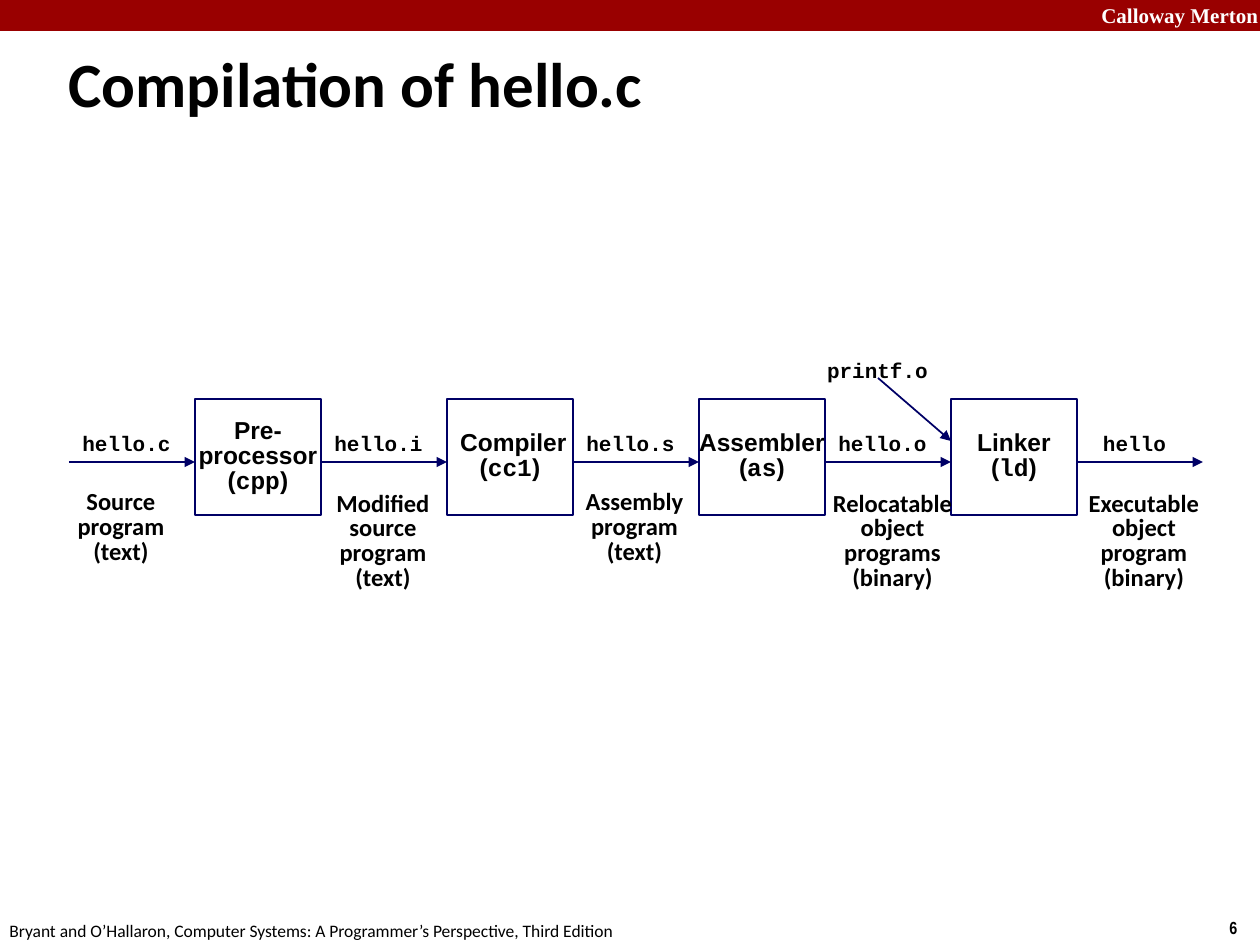
"""Build the slide that shows how hello.c is compiled, stage by stage."""
from lxml import etree
from pptx import Presentation
from pptx.dml.color import RGBColor
from pptx.enum.shapes import MSO_CONNECTOR, MSO_SHAPE
from pptx.enum.text import MSO_ANCHOR, MSO_AUTO_SIZE, PP_ALIGN
from pptx.oxml.ns import qn
from pptx.util import Emu, Pt

PX = 914400 // 126
WIDTH, HEIGHT = 1260, 945
BLACK, WHITE, RED, NAVY = "000000", "FFFFFF", "990000", "000066"
SANS, BODY, MONO = "Arial", "Calibri", "Courier New"

TITLE = "Compilation of hello.c"
MARGIN_NOTES = [
    ("Calloway Merton", (1089, -4, 180, 38), 12, "Times New Roman", WHITE, True),
    ("6", (1217, 911, 43, 34), 10, "Arial Narrow", BLACK, True),
    ("Bryant and O’Hallaron, Computer Systems: A Programmer’s Perspective, Third Edition",
     (-3, 914, 640, 34), 10, BODY, BLACK, False),
]
STAGES = [
    (["Pre-", "processor"], "cpp"),
    ([" Compiler"], "cc1"),
    (["Assembler"], "as"),
    (["Linker"], "ld"),
]
FILES = [
    ("hello.c", 69, 115, ["Source", "program", "(text)"], 65, 112),
    ("hello.i", 321, 115, ["Modified", "source", "program", "(text)"], 324, 118),
    ("hello.s", 573, 115, ["Assembly", "program", "(text)"], 573, 123),
    ("hello.o", 825, 115, ["Relocatable", "object", "programs", "(binary)"], 820, 145),
    ("hello", 1090, 89, ["Executable", "object", "program", "(binary)"], 1076, 136),
]
LIBRARY, LIBRARY_AREA = "printf.o", (814, 352, 127, 38)
LIBRARY_ARROW = (878, 378, 951, 441)

FLOW_LEFT, STEP, FLOW_Y = 69, 126, 462
STAGE_TOP, STAGE_HEIGHT = 399, 116
LABEL_TOP, LABEL_HEIGHT = 425, 38


def px(*lengths):
    return [Emu(length * PX) for length in lengths]


def color(hex_string):
    return RGBColor.from_string(hex_string)


def write(frame, lines, size, ink=BLACK, bold=True, align=PP_ALIGN.CENTER,
          spacing=0.84, anchor=MSO_ANCHOR.MIDDLE, wrap=False):
    """Fill a frame with lines, each a list of (text, font) runs."""
    frame.auto_size = MSO_AUTO_SIZE.NONE
    frame.word_wrap = wrap
    frame.vertical_anchor = anchor
    for index, runs in enumerate(lines):
        line = frame.paragraphs[0] if index == 0 else frame.add_paragraph()
        line.alignment, line.line_spacing = align, spacing
        for text, font in runs:
            run = line.add_run()
            run.text = text
            run.font.name, run.font.size, run.font.bold = font, Pt(size), bold
            run.font.color.rgb = color(ink)


def add_text(slide, area, lines, size, **style):
    write(slide.shapes.add_textbox(*px(*area)).text_frame, lines, size, **style)


def add_box(slide, area, fill=None, outline=None):
    box = slide.shapes.add_shape(MSO_SHAPE.RECTANGLE, *px(*area))
    box.shadow.inherit = False
    if fill:
        box.fill.solid()
        box.fill.fore_color.rgb = color(fill)
    else:
        box.fill.background()
    if outline:
        box.line.color.rgb = color(outline)
        box.line.width = Pt(1)
    else:
        box.line.fill.background()
    return box


def add_arrow(slide, ends):
    arrow = slide.shapes.add_connector(MSO_CONNECTOR.STRAIGHT, *px(*ends))
    arrow.line.color.rgb = color(NAVY)
    arrow.line.width = Pt(1)
    etree.SubElement(arrow.line._get_or_add_ln(), qn("a:tailEnd"), type="triangle")
    etree.SubElement(arrow._element.spPr, qn("a:effectLst"))


def add_label(slide, name, area):
    add_text(slide, area, [[(name, MONO)]], 12, spacing=0.95)


def main():
    deck = Presentation()
    deck.slide_width, deck.slide_height = px(WIDTH, HEIGHT)
    slide = deck.slides.add_slide(deck.slide_layouts[5])

    add_box(slide, (0, 0, WIDTH, 31), fill=RED)
    for text, area, size, font, ink, bold in MARGIN_NOTES:
        add_text(slide, area, [[(text, font)]], size, ink=ink, bold=bold,
                 align=PP_ALIGN.LEFT, spacing=1.0, anchor=MSO_ANCHOR.TOP)

    title = slide.shapes.title
    title.left, title.top, title.width, title.height = px(56, 34, 1200, 108)
    write(title.text_frame, [[(TITLE, BODY)]], 36, align=PP_ALIGN.LEFT, wrap=True)

    for index, (name, command) in enumerate(STAGES):
        left = FLOW_LEFT + (2 * index + 1) * STEP
        stage = add_box(slide, (left, STAGE_TOP, STEP, STAGE_HEIGHT), outline=NAVY)
        lines = [[(part, SANS)] for part in name]
        lines.append([("(", SANS), (command, MONO), (")", SANS)])
        write(stage.text_frame, lines, 14)

    for index, (name, left, width, kind, kind_left, kind_width) in enumerate(FILES):
        start = FLOW_LEFT + 2 * index * STEP
        add_arrow(slide, (start, FLOW_Y, start + STEP, FLOW_Y))
        add_label(slide, name, (left, LABEL_TOP, width, LABEL_HEIGHT))
        kind_top, kind_height = (484, 88) if len(kind) == 3 else (486, 112)
        add_text(slide, (kind_left, kind_top, kind_width, kind_height),
                 [[(line, BODY)] for line in kind], 14)

    add_arrow(slide, LIBRARY_ARROW)
    add_label(slide, LIBRARY, LIBRARY_AREA)
    deck.save("out.pptx")


if __name__ == "__main__":
    main()
